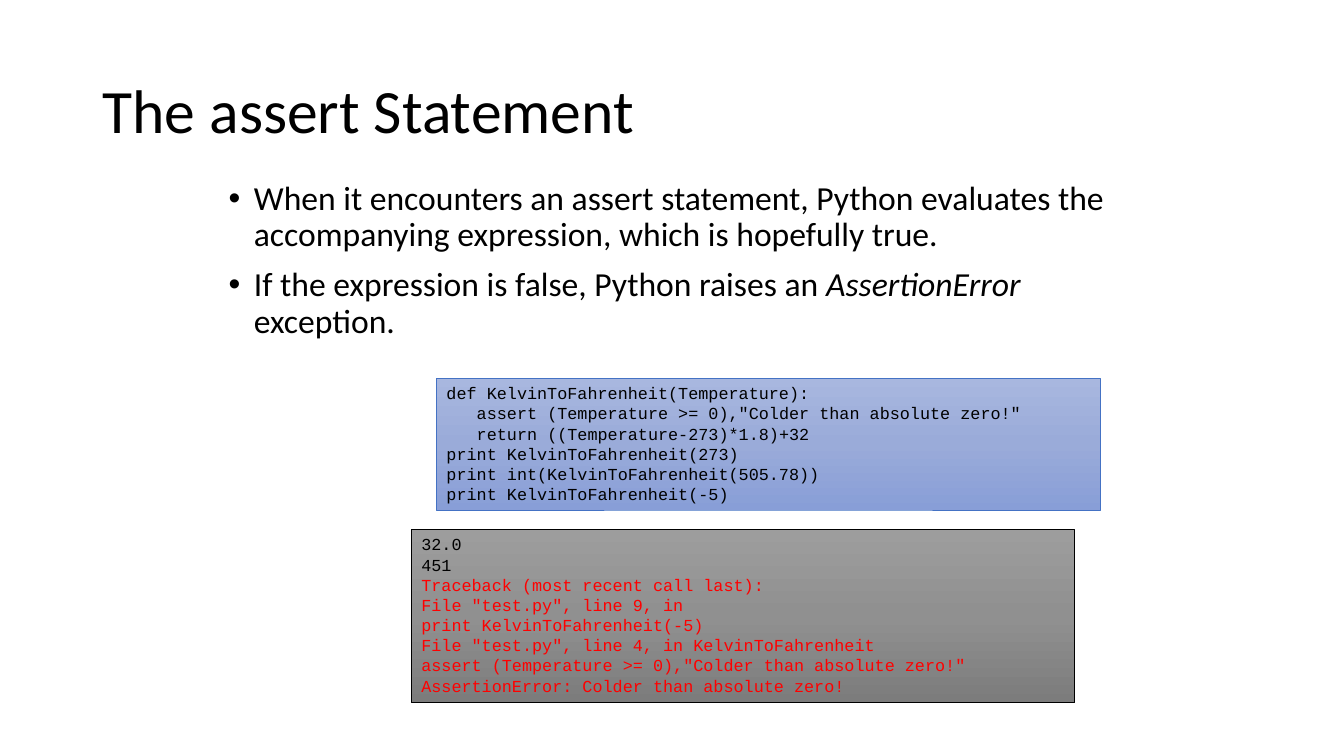
from copy import deepcopy

from pptx import Presentation
from pptx.dml.color import RGBColor
from pptx.enum.shapes import MSO_SHAPE
from pptx.enum.text import MSO_ANCHOR, MSO_AUTO_SIZE, PP_ALIGN
from pptx.oxml.ns import qn
from pptx.oxml.xmlchemy import OxmlElement
from pptx.util import Inches, Pt

RECTANGLE = MSO_SHAPE.RECTANGLE
MIDDLE = MSO_ANCHOR.MIDDLE
GROW = MSO_AUTO_SIZE.SHAPE_TO_FIT_TEXT
LEFT = PP_ALIGN.LEFT

COLORS = {
    "text": "000000",
    "error": "FF0000",
    "code_line": "4472C4",
    "output_line": "000000",
}
CODE_GRADIENT = ["A8B7DF", "9AABD9", "889ED7"]
OUTPUT_GRADIENT = ["9D9D9D", "909090", "7C7C7C"]

BULLETS = [
    [("When it encounters an assert statement, Python evaluates the "
      "accompanying expression, which is hopefully true.", False)],
    [("If the expression is false, Python raises an ", False),
     ("AssertionError", True),
     (" exception.", False)],
]
CODE_LINES = [
    ("def KelvinToFahrenheit(Temperature):", 0),
    ('assert (Temperature >= 0),"Colder than absolute zero!"', 1),
    ("return ((Temperature-273)*1.8)+32", 1),
    ("print KelvinToFahrenheit(273)", 0),
    ("print int(KelvinToFahrenheit(505.78))", 0),
    ("print KelvinToFahrenheit(-5)", 0),
]
RESULT_LINES = ["32.0", "451"]
ERROR_LINES = [
    "Traceback (most recent call last):",
    'File "test.py", line 9, in',
    "print KelvinToFahrenheit(-5)",
    'File "test.py", line 4, in KelvinToFahrenheit',
    'assert (Temperature >= 0),"Colder than absolute zero!"',
    "AssertionError: Colder than absolute zero!",
]


def format_run(run, font_name, size, color="text", italic=False):
    run.font.name = font_name
    run.font.size = Pt(size)
    run.font.italic = italic
    run.font.color.rgb = RGBColor.from_string(COLORS[color])


def set_indent(paragraph, left, first=0):
    properties = paragraph._p.get_or_add_pPr()
    properties.set("marL", str(Inches(left)))
    properties.set("indent", str(Inches(first)))
    return properties


def add_bullet(paragraph):
    properties = set_indent(paragraph, 0.25, -0.25)
    font = OxmlElement("a:buFont")
    font.set("typeface", "Arial")
    bullet = OxmlElement("a:buChar")
    bullet.set("char", "•")
    properties.extend([font, bullet])


def add_text_frame(slide, left, top, width, height):
    box = slide.shapes.add_textbox(Inches(left), Inches(top), Inches(width), Inches(height))
    box.text_frame.word_wrap = True
    return box.text_frame


def add_title(slide, text):
    text_frame = add_text_frame(slide, 0.92, 0.4, 11.5, 1.45)
    text_frame.vertical_anchor = MIDDLE
    text_frame.text = text
    paragraph = text_frame.paragraphs[0]
    paragraph.line_spacing = 0.9
    format_run(paragraph.runs[0], "Calibri", 44)


def add_bullets(slide, bullets):
    text_frame = add_text_frame(slide, 2.17, 1.75, 9, 1.83)
    for index, parts in enumerate(bullets):
        paragraph = text_frame.add_paragraph() if index else text_frame.paragraphs[0]
        paragraph.line_spacing = 0.9
        paragraph.space_before = Pt(10)
        add_bullet(paragraph)
        for text, italic in parts:
            run = paragraph.add_run()
            run.text = text
            format_run(run, "Calibri", 24, italic=italic)


def fill_gradient(shape, colors):
    shape.fill.gradient()
    shape.fill.gradient_angle = 270
    stop_list = shape._element.spPr.find(qn("a:gradFill")).find(qn("a:gsLst"))
    stop_list.insert(1, deepcopy(stop_list[0]))
    for index, (stop, color) in enumerate(zip(shape.fill.gradient_stops, colors)):
        stop.position = index / 2
        stop.color.rgb = RGBColor.from_string(color)


def add_listing(slide, left, top, height, gradient, line_color, lines):
    shape = slide.shapes.add_shape(
        RECTANGLE, Inches(left), Inches(top), Inches(6.58), Inches(height))
    shape.shadow.inherit = False
    fill_gradient(shape, gradient)
    shape.line.color.rgb = RGBColor.from_string(COLORS[line_color])
    shape.line.width = Pt(0.5)
    text_frame = shape.text_frame
    text_frame.word_wrap = True
    text_frame.auto_size = GROW
    text_frame.vertical_anchor = MSO_ANCHOR.TOP
    text_frame.text = "\n".join(text for text, _, _ in lines)
    for paragraph, (_, level, color) in zip(text_frame.paragraphs, lines):
        paragraph.alignment = LEFT
        set_indent(paragraph, 0.3 * level)
        format_run(paragraph.runs[0], "Courier New", 12, color)


def main():
    presentation = Presentation()
    presentation.slide_width = Inches(13.33)
    presentation.slide_height = Inches(7.5)
    slide = presentation.slides.add_slide(presentation.slide_layouts[6])
    add_title(slide, "The assert Statement")
    add_bullets(slide, BULLETS)
    add_listing(slide, 4.33, 3.75, 1.31, CODE_GRADIENT, "code_line",
                [(text, level, "text") for text, level in CODE_LINES])
    add_listing(slide, 4.08, 5.25, 1.72, OUTPUT_GRADIENT, "output_line",
                [(text, 0, "text") for text in RESULT_LINES]
                + [(text, 0, "error") for text in ERROR_LINES])
    presentation.save("out.pptx")


if __name__ == "__main__":
    main()
